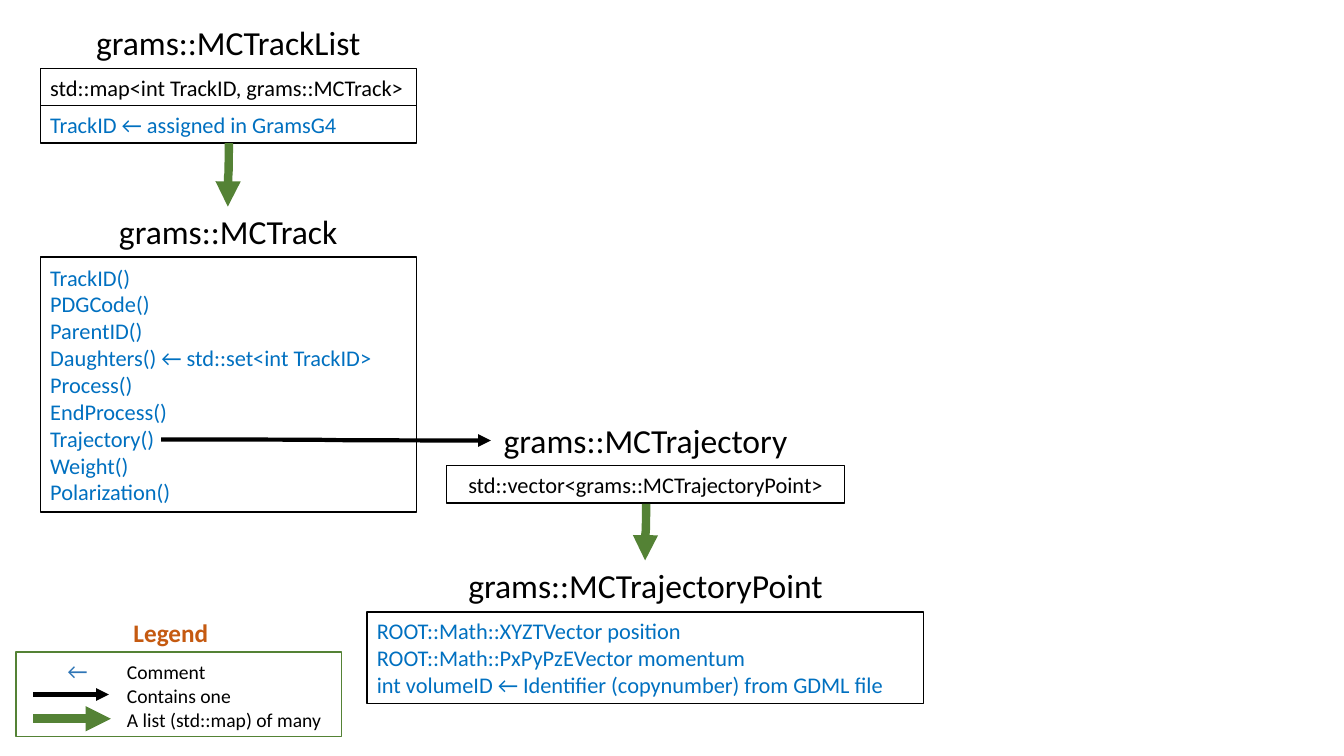
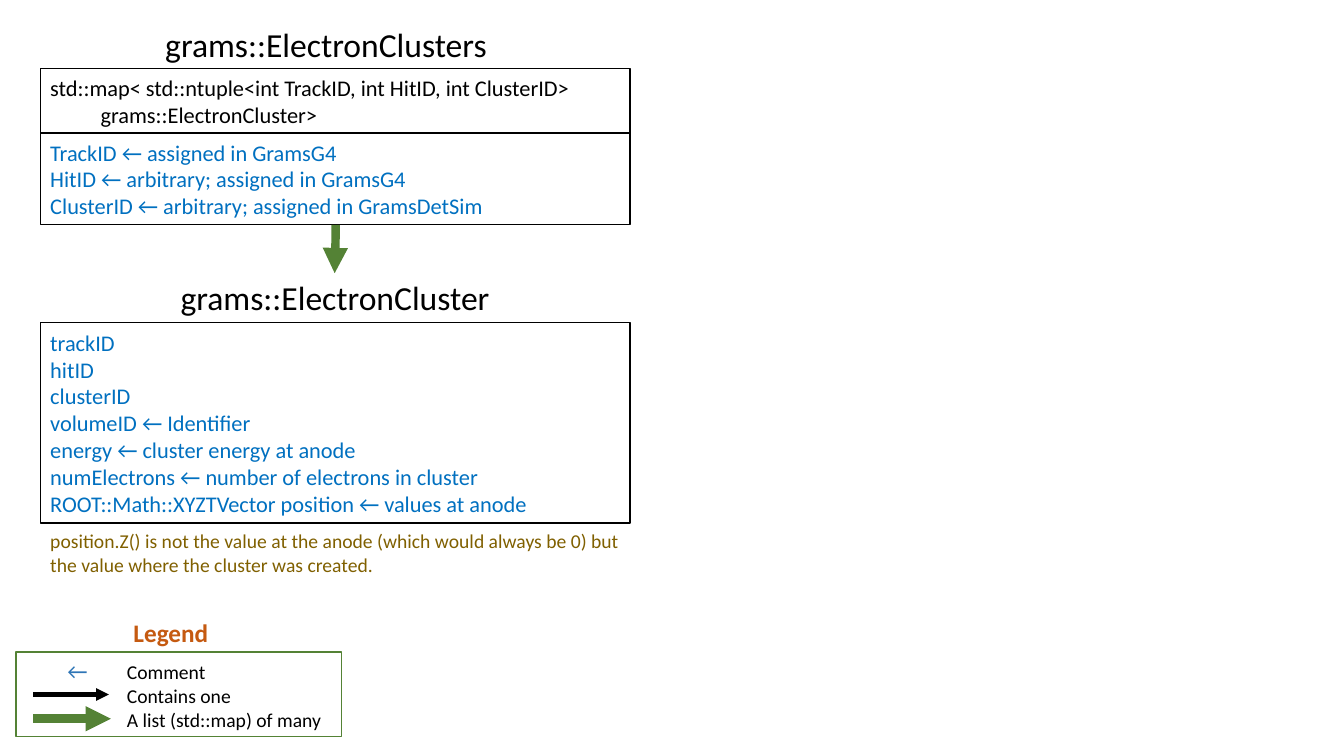
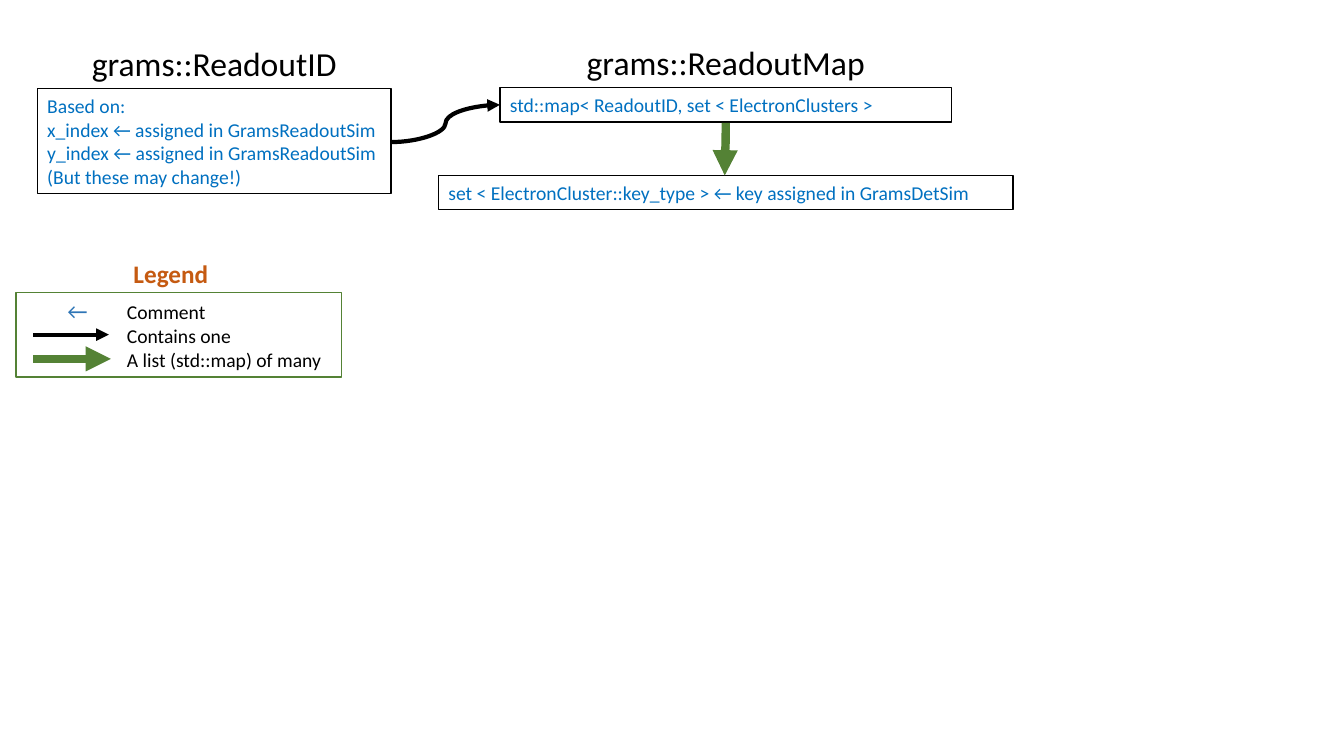
from lxml import etree
from pptx import Presentation
from pptx.dml.color import RGBColor
from pptx.enum.shapes import MSO_CONNECTOR, MSO_SHAPE
from pptx.enum.text import MSO_ANCHOR, MSO_AUTO_SIZE, PP_ALIGN
from pptx.oxml.ns import qn
from pptx.util import Pt

PX = 9144  # 100 px to the inch
FONT = "Calibri"
BLACK = RGBColor(0x00, 0x00, 0x00)
BLUE = RGBColor(0x00, 0x70, 0xC0)
STEEL = RGBColor(0x2E, 0x75, 0xB6)
GREEN = RGBColor(0x54, 0x82, 0x35)
RUST = RGBColor(0xC5, 0x5A, 0x11)
OLIVE = RGBColor(0x80, 0x60, 0x00)
LEFT, MID = PP_ALIGN.LEFT, PP_ALIGN.CENTER
TOP, CENTER = MSO_ANCHOR.TOP, MSO_ANCHOR.MIDDLE
CURVE, LINE = MSO_CONNECTOR.CURVE, MSO_CONNECTOR.STRAIGHT
RECT, NO_FIT = MSO_SHAPE.RECTANGLE, MSO_AUTO_SIZE.NONE
TITLE_ONLY = 5
HEAD_H = 50
STEP = {16: 27, 14: 23.5}  # line height in px by text size

# head: (text, left, top, width); box: (left, top, width)
# parts: (lines, colour, alignment), stacked downwards
# many / one: arrow ends (x1, y1, x2, y2)
SLIDES = [
    {
        "classes": [
            {
                "head": ("grams::MCTrackList", 40, 17, 373),
                "box": (40, 68, 373), "size": 16,
                "parts": [
                    (["std::map<int TrackID, grams::MCTrack>"], BLACK, LEFT),
                    (["TrackID ← assigned in GramsG4"], BLUE, LEFT),
                ],
            },
            {
                "head": ("grams::MCTrajectory", 487, 412, 307),
                "box": (443, 462, 395), "size": 16,
                "parts": [
                    (["std::vector<grams::MCTrajectoryPoint>"], BLACK, MID),
                ],
            },
            {
                "head": ("grams::MCTrajectoryPoint", 443, 555, 395),
                "box": (364, 607, 552), "size": 16,
                "parts": [
                    (["ROOT::Math::XYZTVector position",
                      "ROOT::Math::PxPyPzEVector momentum",
                      "int volumeID ← Identifier (copynumber) from GDML file"],
                     BLUE, LEFT),
                ],
            },
            {
                "head": ("grams::MCTrack", 40, 204, 373),
                "box": (40, 255, 373), "size": 16,
                "parts": [
                    (["TrackID()", "PDGCode()", "ParentID()",
                      "Daughters() ← std::set<int TrackID>",
                      "Process()", "EndProcess()", "Trajectory()",
                      "Weight()", "Polarization()"], BLUE, LEFT),
                ],
            },
        ],
        "many": [(227, 142, 226, 205), (641, 500, 640, 556)],
        "one": [(160, 436, 487, 437)],
        "legend": 608,
    },
    {
        "classes": [
            {
                "head": ("grams::ElectronClusters", 137, 19, 373),
                "box": (40, 68, 585), "size": 16,
                "parts": [
                    (["std::map< std::ntuple<int TrackID, int HitID, int ClusterID>",
                      "\tgrams::ElectronCluster>"], BLACK, LEFT),
                    (["TrackID ← assigned in GramsG4",
                      "HitID ← arbitrary; assigned in GramsG4",
                      "ClusterID ← arbitrary; assigned in GramsDetSim"],
                     BLUE, LEFT),
                ],
            },
            {
                "head": ("grams::ElectronCluster", 146, 270, 373),
                "box": (40, 320, 585), "size": 16,
                "parts": [
                    (["trackID", "hitID", "clusterID",
                      "volumeID ← Identifier",
                      "energy ← cluster energy at anode",
                      "numElectrons ← number of electrons in cluster",
                      "ROOT::Math::XYZTVector position ← values at anode"],
                     BLUE, LEFT),
                ],
            },
        ],
        "many": [(333, 223, 332, 271)],
        "one": [],
        "note": ("position.Z() is not the value at the anode (which would "
                 "always be 0) but the value where the cluster was created.",
                 (40, 520, 585, 57)),
        "legend": 608,
    },
    {
        "classes": [
            {
                "head": ("grams::ReadoutID", 37, 38, 351),
                "box": (37, 88, 351), "size": 14,
                "parts": [
                    (["Based on:",
                      "x_index ← assigned in GramsReadoutSim",
                      "y_index ← assigned in GramsReadoutSim",
                      "(But these may change!)"], BLUE, LEFT),
                ],
            },
            {
                "head": ("grams::ReadoutMap", 496, 37, 448),
                "box": (496, 87, 448), "size": 14,
                "parts": [
                    (["std::map< ReadoutID, set < ElectronClusters >"],
                     BLUE, LEFT),
                ],
            },
            {
                "box": (435, 174, 570), "size": 14,
                "parts": [
                    (["set < ElectronCluster::key_type > ← key assigned in GramsDetSim"],
                     BLUE, LEFT),
                ],
            },
        ],
        "many": [(720, 122, 719, 174)],
        "one": [(388, 141, 496, 104)],
        "legend": 251,
    },
]

KEY = [
    [("\t←\t", {"size": 16, "color": STEEL}), ("Comment", {})],
    "\tContains one",
    "\tA list (std::map) of many",
]
KEY_TABS = [(41, 100), (100,), (100,)]


def emu(*vals):
    return [round(v * PX) for v in vals]


def write(shape, lines, size=16, color=BLACK, bold=False, align=LEFT,
          anchor=CENTER):
    """Fill a shape; a line is a string or a list of (text, format) runs."""
    frame = shape.text_frame
    frame.word_wrap = True
    frame.auto_size = NO_FIT
    frame.vertical_anchor = anchor
    for i, line in enumerate(lines):
        para = frame.add_paragraph() if i else frame.paragraphs[0]
        para.alignment = align
        for text, fmt in [(line, {})] if isinstance(line, str) else line:
            run = para.add_run()
            run.text = text
            font = run.font
            font.name = FONT
            font.bold = bold
            font.size = Pt(fmt.get("size", size))
            font.color.rgb = fmt.get("color", color)


def label(slide, box, lines, **fmt):
    write(slide.shapes.add_textbox(*emu(*box)), lines, **fmt)


def frame(slide, box, lines, edge=BLACK, **fmt):
    """Add an outlined rectangle that holds text."""
    rect = slide.shapes.add_shape(RECT, *emu(*box))
    rect.shadow.inherit = False
    rect.fill.background()
    rect.line.color.rgb = edge
    rect.line.width = Pt(1)
    write(rect, lines, **fmt)
    return rect


def arrow(slide, ends, color, width, kind=LINE, turn=False):
    """Add an arrow; turn makes a curve leave downwards."""
    x1, y1, x2, y2 = ends
    if turn:
        cx, cy = (x1 + x2) / 2, (y1 + y2) / 2
        dx, dy = (x1 - x2) / 2, (y2 - y1) / 2
        x1, y1, x2, y2 = cx - dy, cy - dx, cx + dy, cy + dx
    link = slide.shapes.add_connector(kind, *emu(x1, y1, x2, y2))
    link.line.color.rgb = color
    link.line.width = Pt(width)
    props = link._element.spPr
    if turn:
        props.find(qn("a:xfrm")).set("rot", "5400000")
    etree.SubElement(props.find(qn("a:ln")), qn("a:tailEnd"), type="triangle")
    etree.SubElement(props, qn("a:effectLst"))


def legend(slide, top):
    rect = frame(slide, (16, top + 39, 323, 84), KEY, edge=GREEN, size=14,
                 anchor=TOP)
    for para, stops in zip(rect.text_frame.paragraphs, KEY_TABS):
        tabs = etree.SubElement(para._p.get_or_add_pPr(), qn("a:tabLst"))
        for pos in stops:
            etree.SubElement(tabs, qn("a:tab"), pos=str(pos * PX), algn="l")
    arrow(slide, (33, top + 105, 110, top + 105), GREEN, 6)
    arrow(slide, (33, top + 81, 108, top + 81), BLACK, 3)
    label(slide, (102, top, 135, 40), ["Legend"], size=18, color=RUST,
          bold=True, align=MID, anchor=TOP)


def heading(slide, text, left, top, width, first):
    box = (left, top, width, HEAD_H)
    if first:
        title = slide.shapes.title
        title.left, title.top, title.width, title.height = emu(*box)
        write(title, [text], size=24, align=MID)
    else:
        label(slide, box, [text], size=24, align=MID)


def build(slide, data):
    for i, item in enumerate(data["classes"]):
        if "head" in item:
            heading(slide, *item["head"], first=i == 0)
        left, top, width = item["box"]
        size = item["size"]
        for lines, color, align in item["parts"]:
            high = round(STEP[size] * len(lines)) + 10
            frame(slide, (left, top, width, high), lines, size=size,
                  color=color, align=align)
            top += high
    for ends in data["many"]:
        arrow(slide, ends, GREEN, 6, CURVE, turn=True)
    for ends in data["one"]:
        arrow(slide, ends, BLACK, 3, CURVE)
    if "note" in data:
        text, box = data["note"]
        label(slide, box, [text], size=14, color=OLIVE, anchor=TOP)
    legend(slide, data["legend"])


def main():
    deck = Presentation()
    deck.slide_width, deck.slide_height = emu(1333.33, 750)
    for data in SLIDES:
        build(deck.slides.add_slide(deck.slide_layouts[TITLE_ONLY]), data)
    deck.save("out.pptx")


if __name__ == "__main__":
    main()
